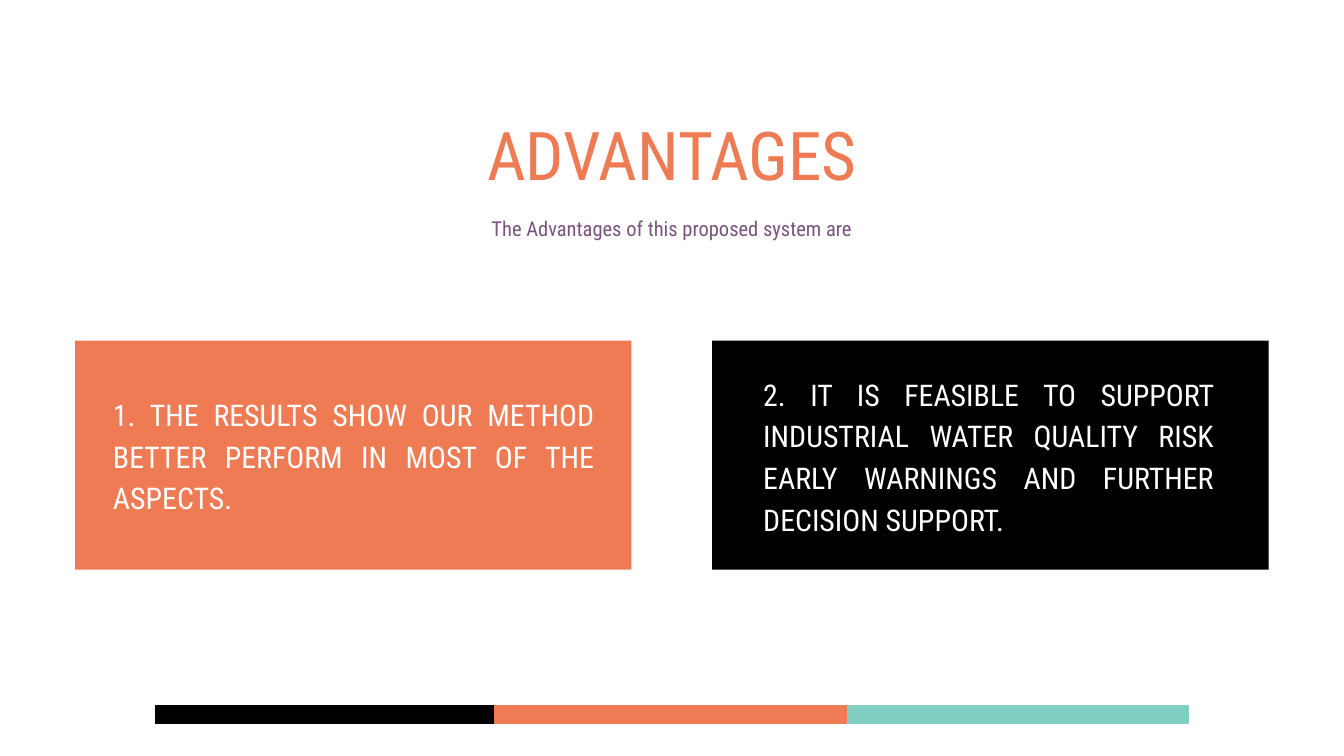
from dataclasses import dataclass

from lxml.etree import SubElement
from pptx import Presentation
from pptx.dml.color import RGBColor
from pptx.enum.shapes import MSO_CONNECTOR, MSO_SHAPE
from pptx.enum.text import PP_ALIGN
from pptx.oxml.ns import qn
from pptx.util import Cm, Pt


@dataclass(frozen=True)
class Theme:
    font: str = "Roboto Condensed"
    orange: RGBColor = RGBColor(0xEF, 0x7B, 0x54)
    purple: RGBColor = RGBColor(0x7A, 0x54, 0x7E)
    teal: RGBColor = RGBColor(0x81, 0xCF, 0xC2)
    black: RGBColor = RGBColor(0, 0, 0)
    white: RGBColor = RGBColor(0xFF, 0xFF, 0xFF)
    title_size: int = 72
    subtitle_size: int = 22
    card_size: int = 32
    stripe_width: int = 20


theme = Theme()


def add_text(slide, text, box, size, line_spacing, color, alignment):
    """Place one paragraph in a margin-free box given as left, top, width, height in cm."""
    frame = slide.shapes.add_textbox(*map(Cm, box)).text_frame
    frame.word_wrap = True
    frame.margin_left = frame.margin_top = frame.margin_right = frame.margin_bottom = 0
    paragraph = frame.paragraphs[0]
    paragraph.alignment = alignment
    paragraph.line_spacing = Pt(line_spacing)
    run = paragraph.add_run()
    run.text = text
    run.font.name = theme.font
    run.font.size = Pt(size)
    run.font.color.rgb = color


presentation = Presentation()
presentation.slide_width = Cm(50.8)
presentation.slide_height = Cm(28.58)
slide = presentation.slides.add_slide(presentation.slide_layouts[6])

# Heading
add_text(slide, "ADVANTAGES", (12.14, 3.78, 26.52, 3.43),
         theme.title_size, 100.8, theme.orange, PP_ALIGN.CENTER)
add_text(slide, "The Advantages of this proposed system are", (5.61, 7.85, 39.55, 1.17),
         theme.subtitle_size, 35.2, theme.purple, PP_ALIGN.CENTER)

# Advantage cards: left edge, fill, text box, text
cards = [
    (2.84, theme.orange, (4.27, 14.76, 18.21, 4.67),
     "1. THE RESULTS SHOW OUR METHOD BETTER PERFORM IN MOST OF THE ASPECTS."),
    (26.92, theme.black, (28.85, 14, 17.04, 6.22),
     "2. IT IS FEASIBLE TO SUPPORT INDUSTRIAL WATER QUALITY RISK EARLY WARNINGS "
     "AND FURTHER DECISION SUPPORT."),
]
for left, fill, text_box, text in cards:
    card = slide.shapes.add_shape(MSO_SHAPE.RECTANGLE, Cm(left), Cm(12.88), Cm(21.03), Cm(8.66))
    card.shadow.inherit = False
    card.fill.solid()
    card.fill.fore_color.rgb = fill
    card.line.fill.background()
    add_text(slide, text, text_box, theme.card_size, 44.8, theme.white, PP_ALIGN.JUSTIFY)

# Three-colour stripe along the bottom
stripe_y = Cm(27)
stripe_stops = [5.87, 18.67, 32.03, 44.93]
stripe_colors = [theme.black, theme.orange, theme.teal]
for start, end, color in zip(stripe_stops, stripe_stops[1:], stripe_colors):
    stripe = slide.shapes.add_connector(
        MSO_CONNECTOR.STRAIGHT, Cm(start), stripe_y, Cm(end), stripe_y)
    stripe.line.color.rgb = color
    stripe.line.width = Pt(theme.stripe_width)
    SubElement(stripe._element.spPr, qn("a:effectLst"))

presentation.save("out.pptx")
